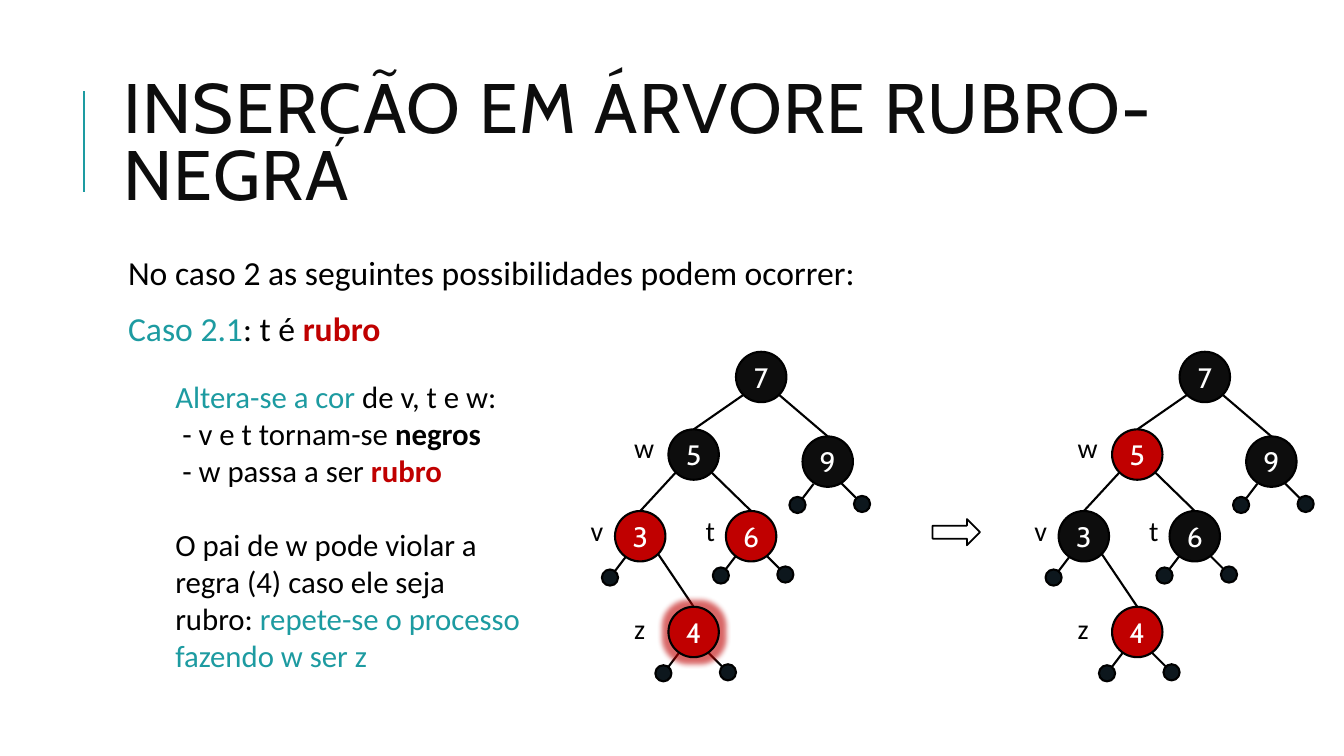
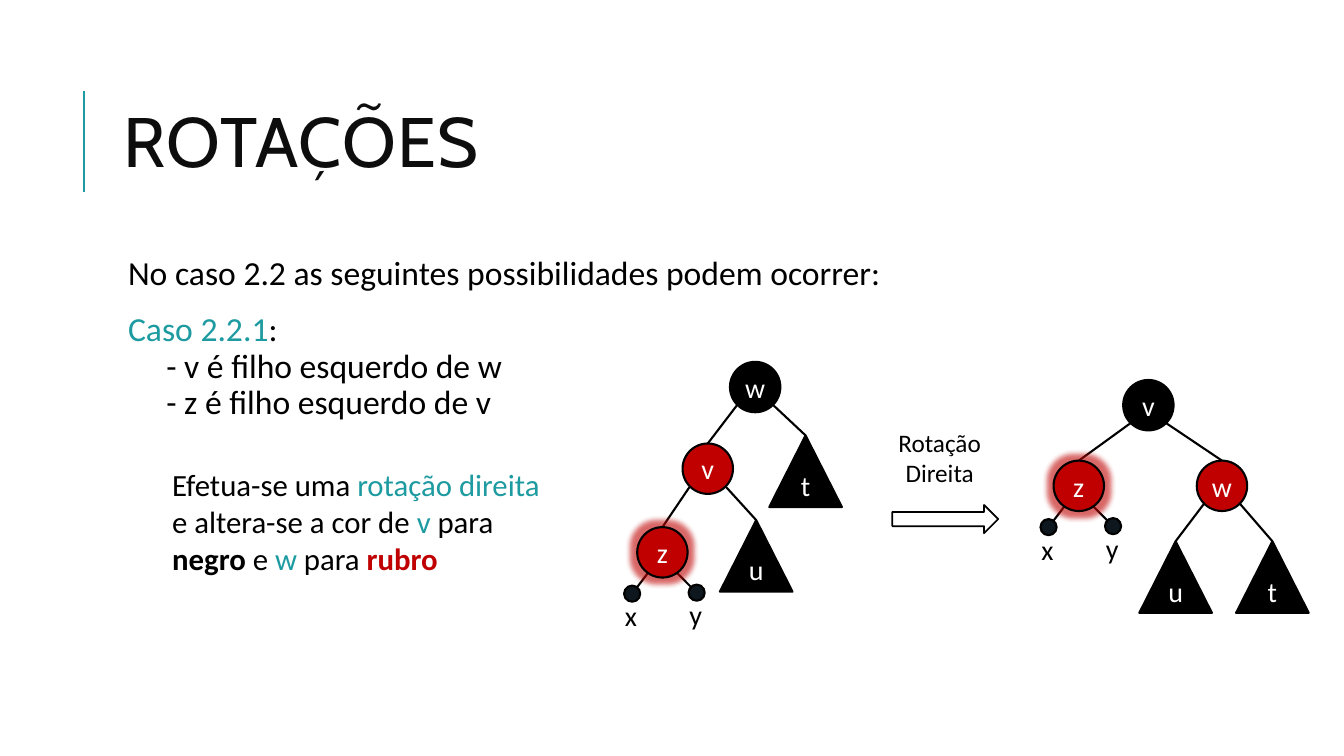
from dataclasses import dataclass, field

from lxml.etree import SubElement
from pptx import Presentation
from pptx.dml.color import RGBColor
from pptx.enum.shapes import MSO_CONNECTOR, MSO_SHAPE
from pptx.enum.text import MSO_ANCHOR, MSO_AUTO_SIZE, PP_ALIGN
from pptx.oxml.ns import qn
from pptx.util import Inches, Pt


@dataclass(frozen=True)
class Theme:
    teal: str = "1D9BA1"
    red: str = "C00000"
    black: str = "000000"
    coal: str = "0D0D0D"
    leaf: str = "0D171D"
    white: str = "FFFFFF"
    head: str = "Cabin"
    body: str = "Calibri"
    title: int = 50
    lead: int = 24
    text: int = 22
    label: int = 20
    note: int = 18
    line: float = 1.5
    thin: float = 1.25


@dataclass
class Para:
    """Runs are strings or (text, colour, bold); indent is in grid units."""
    runs: list
    indent: float = 0
    before: float = 0
    after: float = 0


@dataclass
class Node:
    """x is the centre and y the top; ends maps a side (-1, 1) to a leaf label."""
    text: str
    x: float
    y: float
    fill: str
    up: str = ""
    ends: dict = field(default_factory=dict)
    drop: float = 0
    glow: bool = False
    kind: MSO_SHAPE = MSO_SHAPE.OVAL


STYLE = Theme()
DIAM, DOT, REACH = 5, 1.6, 1.8
TRI_W, TRI_H = 7.2, 7.1
LEAVES = {-1: ((-1.4, 2), (-3, 4.1)), 1: ((1.3, 1.9), (3.4, 4))}


def unit(value):
    """Turn grid units, ten to the inch, into a length."""
    return Inches(value / 10)


def rgb(code):
    return RGBColor.from_string(code)


def write(frame, paras, size, font=STYLE.body, color=STYLE.black, align=PP_ALIGN.LEFT,
          anchor=MSO_ANCHOR.TOP, inset=(1, 0.5, 1, 0.5), wrap=True, fit=False,
          leading=1.0, track=0):
    frame.word_wrap = wrap
    frame.auto_size = MSO_AUTO_SIZE.SHAPE_TO_FIT_TEXT if fit else MSO_AUTO_SIZE.NONE
    frame.vertical_anchor = anchor
    (frame.margin_left, frame.margin_top,
     frame.margin_right, frame.margin_bottom) = map(unit, inset)
    if isinstance(paras, str):
        paras = [Para([paras])]
    for i, para in enumerate(paras):
        p = frame.add_paragraph() if i else frame.paragraphs[0]
        p.alignment, p.line_spacing = align, leading
        p.space_before, p.space_after = Pt(para.before), Pt(para.after)
        if para.indent:
            p._p.get_or_add_pPr().set("marL", str(unit(para.indent)))
        for item in para.runs:
            words, tone, bold = (item, color, False) if isinstance(item, str) else item
            for j, part in enumerate(words.split("\n")):
                if j:
                    p.add_line_break()
                run = p.add_run()
                run.text = part
                run.font.size, run.font.name, run.font.bold = Pt(size), font, bold
                run.font.color.rgb = rgb(tone)
                if track:
                    run._r.get_or_add_rPr().set("spc", str(track))


class Deck:
    def __init__(self, theme):
        self.theme = theme
        self.file = Presentation()
        self.file.slide_width, self.file.slide_height = Inches(13.33), Inches(7.5)
        self.slide = None

    def page(self, title):
        self.slide = self.file.slides.add_slide(self.file.slide_layouts[5])
        self.line((8.3, 19), (8.3, 9), self.theme.teal)
        head = self.slide.shapes.title
        head.left, head.top, head.width, head.height = map(unit, (11.2, 6.4, 106.3, 16.4))
        write(head.text_frame, title, self.theme.title, font=self.theme.head,
              color=self.theme.coal, anchor=MSO_ANCHOR.MIDDLE, leading=0.8, track=100)

    def line(self, start, end, color=STYLE.black):
        line = self.slide.shapes.add_connector(
            MSO_CONNECTOR.STRAIGHT, *map(unit, (*start, *end)))
        line.line.color.rgb = rgb(color)
        line.line.width = Pt(self.theme.line)
        SubElement(line._element.spPr, qn("a:effectLst"))

    def shape(self, kind, x, y, w, h, fill=None, width=STYLE.line):
        shape = self.slide.shapes.add_shape(kind, *map(unit, (x, y, w, h)))
        shape.shadow.inherit = False
        if fill:
            shape.fill.solid()
            shape.fill.fore_color.rgb = rgb(fill)
        else:
            shape.fill.background()
        shape.line.color.rgb = rgb(self.theme.black)
        shape.line.width = Pt(width)
        return shape

    def text(self, x, y, w, h, paras, size=STYLE.text, **fmt):
        box = self.slide.shapes.add_textbox(*map(unit, (x, y, w, h)))
        write(box.text_frame, paras, size, **fmt)

    def lead(self, paras):
        self.text(11.2, 25, 106.3, 44, paras, self.theme.lead,
                  inset=(1.5, 0.5, 0.5, 0.5), leading=0.9)

    def label(self, x, y, text):
        self.text(x, y, 3.4, 4.4, text, self.theme.label, wrap=False, fit=True)

    def arrow(self, x, y, w, h):
        self.shape(MSO_SHAPE.RIGHT_ARROW, x, y, w, h, width=self.theme.thin)

    def glow(self, shape):
        effects = shape._element.spPr.find(qn("a:effectLst"))
        halo = SubElement(effects, qn("a:glow"), rad=str(Pt(8)))
        tone = SubElement(halo, qn("a:srgbClr"), val=self.theme.red)
        SubElement(tone, qn("a:alpha"), val="60000")

    def leaf(self, node, side, name):
        (sx, sy), (dx, dy) = LEAVES[side]
        mid = node.y + DIAM / 2 + node.drop
        x, y = node.x + dx, mid + dy
        self.line((node.x + sx, mid + sy), (x, y))
        self.shape(MSO_SHAPE.OVAL, x - DOT / 2, y - DOT / 2, DOT, DOT, self.theme.leaf)
        if name:
            self.label(x - 1.7, y, name)

    def node(self, node, font):
        tri = node.kind == MSO_SHAPE.ISOSCELES_TRIANGLE
        w, h = (TRI_W, TRI_H) if tri else (DIAM, DIAM)
        shape = self.shape(node.kind, node.x - w / 2, node.y, w, h, node.fill)
        if node.glow:
            self.glow(shape)
        write(shape.text_frame, node.text, self.theme.label, font=font,
              color=self.theme.white, align=PP_ALIGN.CENTER, anchor=MSO_ANCHOR.MIDDLE,
              inset=(0, 0, 0, 0.8 if tri else 0))

    def tree(self, nodes, font=STYLE.body):
        """Join each node's top to the lower flank of its parent."""
        known = {node.text: node for node in nodes}
        for node in nodes:
            if node.up:
                top = known[node.up]
                side = 1 if node.x > top.x else -1
                self.line((top.x + side * REACH, top.y + DIAM / 2 + REACH),
                          (node.x, node.y))
            for side, name in node.ends.items():
                self.leaf(node, side, name)
        for node in nodes:
            self.node(node, font)


def bare():
    return {-1: "", 1: ""}


def recolour(deck, left, reds, glow=""):
    """Draw the numbered tree with the given nodes in red."""
    def make(text, x, y, up="", **more):
        fill = STYLE.red if text in reds else STYLE.coal
        return Node(text, left + x, y, fill, up, glow=text == glow, **more)

    deck.tree([
        make("7", 17.9, 34.9),
        make("5", 11.2, 42.6, "7"),
        make("9", 24.5, 43.3, "7", ends=bare(), drop=0.2),
        make("3", 5.9, 50.7, "5", ends={-1: ""}),
        make("6", 16.9, 50.7, "5", ends=bare(), drop=-0.2),
        make("4", 11.2, 60.2, "3", ends=bare()),
    ], STYLE.head)
    for name, x, y in (("w", 4.3, 42.2), ("v", 0, 50.5), ("t", 11.4, 50.5), ("z", 4.3, 60.2)):
        deck.label(left + x, y, name)


def insertion(deck):
    teal, red, black = STYLE.teal, STYLE.red, STYLE.black
    deck.page("INSERÇÃO EM ÁRVORE RUBRO-NEGRA")
    deck.lead([
        Para(["No caso 2 as seguintes possibilidades podem ocorrer:"], 0, 12, 2),
        Para([("Caso 2.1", teal, False), ": t é ", ("rubro", red, True)], 0, 12, 2),
    ])
    deck.text(16.4, 37, 45.7, 30.6, [
        Para([("Altera-se a cor ", teal, False), "de v, t e w:"]),
        Para(["- v e t tornam-se ", ("negros", black, True)], 0.7),
        Para(["- w passa a ser ", ("rubro", red, True)], 0.7),
        Para(["O pai de w pode violar a\nregra (4) caso ele seja\nrubro: ",
              ("repete-se o processo fazendo w ser z", teal, False)], before=26.5),
    ])
    recolour(deck, 57.6, "364", glow="4")
    deck.arrow(92.5, 51.5, 4.7, 2.6)
    recolour(deck, 101.6, "54")


def rotation(deck):
    teal, red, black = STYLE.teal, STYLE.red, STYLE.black
    deck.page("ROTAÇÕES")
    deck.lead([
        Para(["No caso 2.2 as seguintes possibilidades podem ocorrer:"], 0, 12, 2),
        Para([("Caso 2.2.1", teal, False), ":"], 0, 12),
        Para(["- v é filho esquerdo de w"], 3.8),
        Para(["- z é filho esquerdo de v"], 3.8),
    ])
    deck.text(16.1, 45.7, 38.7, 12.2, [Para([
        "Efetua-se uma ", ("rotação direita ", teal, False), "e altera-se a cor de ",
        ("v", teal, False), " para ", ("negro", black, True), " e ", ("w", teal, False),
        " para ", ("rubro", red, True)])])
    ends, tri = {-1: "x", 1: "y"}, MSO_SHAPE.ISOSCELES_TRIANGLE
    deck.tree([
        Node("w", 74.9, 35.9, black),
        Node("v", 70.2, 44, red, "w"),
        Node("z", 65.7, 52.3, red, "v", ends, glow=True),
        Node("t", 79.9, 43.2, black, "w", kind=tri),
        Node("u", 75, 51.6, black, "v", kind=tri),
    ])
    deck.text(86.2, 41.9, 14, 7.1, "Rotação\nDireita", STYLE.note, align=PP_ALIGN.CENTER)
    deck.arrow(88.5, 50.1, 10.5, 2.8)
    deck.tree([
        Node("v", 113.9, 37.7, black),
        Node("z", 107, 45.7, red, "v", ends, glow=True),
        Node("w", 121.2, 45.7, red, "v"),
        Node("u", 116.6, 53.7, black, "w", kind=tri),
        Node("t", 126.2, 53.7, black, "w", kind=tri),
    ])


def main():
    deck = Deck(STYLE)
    insertion(deck)
    rotation(deck)
    deck.file.save("out.pptx")


if __name__ == "__main__":
    main()
